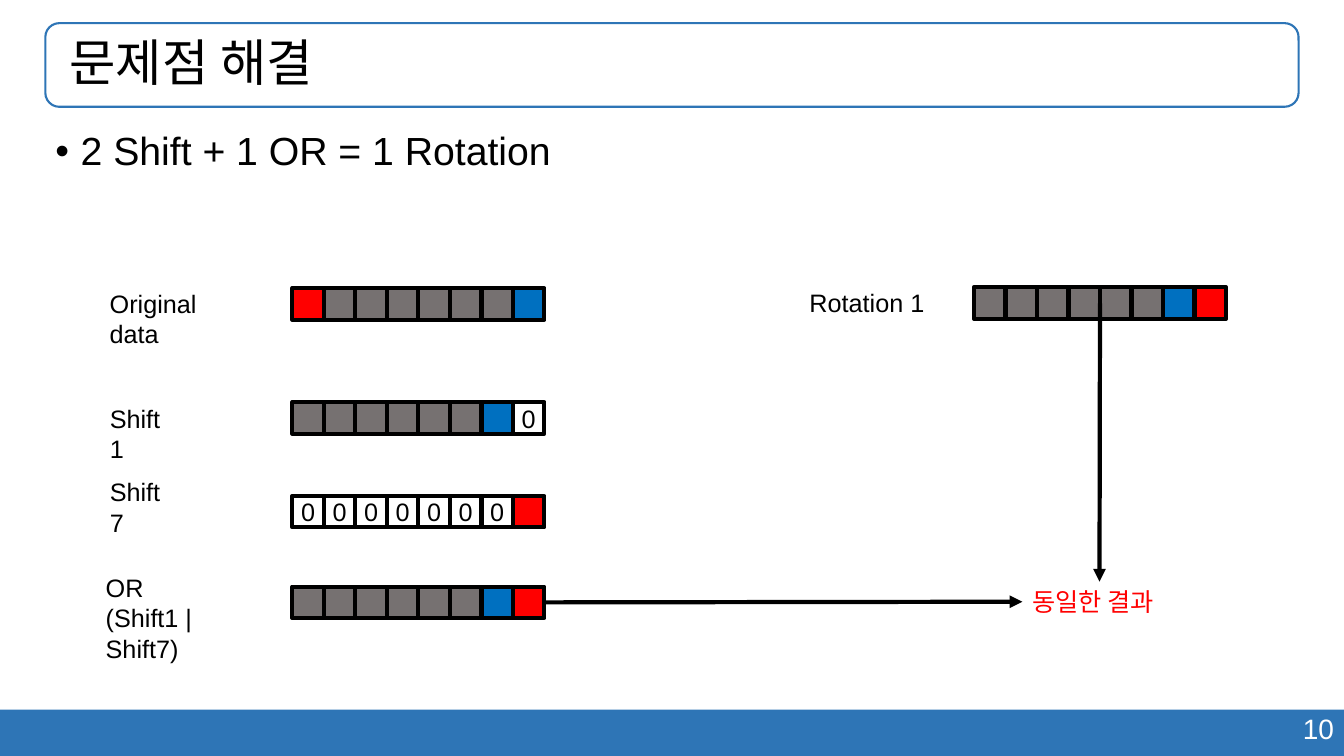
"""Build a slide that shows a bit rotation made of two shifts and an OR."""
from dataclasses import dataclass

from lxml import etree
from pptx import Presentation
from pptx.dml.color import RGBColor
from pptx.enum import shapes, text
from pptx.oxml import ns
from pptx.util import Inches, Pt


@dataclass(frozen=True)
class Theme:
    """Hold the colours, type sizes and line widths of the slide."""
    font: str = "Arial"
    black: str = "000000"
    white: str = "FFFFFF"
    bar: str = "2E75B6"
    red: str = "FF0000"
    gray: str = "767171"
    blue: str = "0070C0"
    title: int = 36
    body: int = 28
    page: int = 20
    label: int = 18
    frame: float = 1.5
    line: int = 3


THEME = Theme()
CELL = 2.5 / 8
BITS = {"R": THEME.red, "G": THEME.gray, "B": THEME.blue}
LEFT = 2.9
ROWS = [
    ("Original data", 0.99, 2.81, 1.53, LEFT, 2.86, "RGGGGGGB"),
    ("Shift 1", 0.99, 3.95, 0.88, LEFT, 3.99, "GGGGGGB0"),
    ("Shift 7", 0.99, 4.68, 0.88, LEFT, 4.92, "0000000R"),
    ("Rotation 1", 7.93, 2.8, 1.38, 9.66, 2.85, "GGGGGGBR"),
    ("OR\n(Shift1 | Shift7)", 0.95, 5.63, 1.78, LEFT, 5.82, "GGGGGGBR"),
]


def color(code):
    """Turn a hex code into a colour."""
    return RGBColor.from_string(code)


def style(frame, size, ink, align=text.PP_ALIGN.LEFT):
    """Format every paragraph and run of a text frame."""
    frame.word_wrap = True
    frame.auto_size = text.MSO_AUTO_SIZE.NONE
    for para in frame.paragraphs:
        para.alignment = align
        for run in para.runs:
            run.font.name = THEME.font
            run.font.size = Pt(size)
            run.font.color.rgb = color(ink)


def place(shape, left, top, width, height):
    """Move and size a shape, in inches."""
    shape.left, shape.top = Inches(left), Inches(top)
    shape.width, shape.height = Inches(width), Inches(height)


def box(parent, kind, area, fill=None, line=None, weight=0):
    """Add a preset shape with an optional fill and outline."""
    shape = parent.add_shape(kind, *map(Inches, area))
    shape.shadow.inherit = False
    if fill:
        shape.fill.solid()
        shape.fill.fore_color.rgb = color(fill)
    else:
        shape.fill.background()
    if line:
        shape.line.color.rgb = color(line)
        shape.line.width = Pt(weight)
    else:
        shape.line.fill.background()
    return shape


def label(slide, words, area, size=THEME.label, ink=THEME.black,
          align=text.PP_ALIGN.LEFT):
    """Add a text box."""
    shape = slide.shapes.add_textbox(*map(Inches, area))
    shape.text_frame.text = words
    style(shape.text_frame, size, ink, align)
    return shape


def strip(slide, left, top, bits):
    """Add a grouped row of bit cells and return its last cell."""
    group = slide.shapes.add_group_shape()
    for i, bit in enumerate(bits):
        cell = box(group.shapes, shapes.MSO_SHAPE.RECTANGLE,
                   (left + i * CELL, top, CELL, CELL),
                   BITS.get(bit), THEME.black, THEME.line)
        if bit not in BITS:
            frame = cell.text_frame
            frame.text = bit
            frame.margin_left = frame.margin_right = 0
            frame.vertical_anchor = text.MSO_ANCHOR.MIDDLE
            style(frame, THEME.label, THEME.black, text.PP_ALIGN.CENTER)
    return cell


def arrow(slide, start, end):
    """Add a straight arrow between two points."""
    line = slide.shapes.add_connector(
        shapes.MSO_CONNECTOR.STRAIGHT, *map(Inches, start + end))
    line.line.color.rgb = color(THEME.black)
    line.line.width = Pt(THEME.line)
    etree.SubElement(line.line._get_or_add_ln(), ns.qn("a:tailEnd"),
                     type="triangle")
    etree.SubElement(line._element.spPr, ns.qn("a:effectLst"))
    return line


def header(slide):
    """Fill the title and put a rounded frame around it."""
    area = (0.45, 0.23, 12.43, 0.83)
    box(slide.shapes, shapes.MSO_SHAPE.ROUNDED_RECTANGLE, area,
        line=THEME.bar, weight=THEME.frame)
    place(slide.shapes.title, *area)
    frame = slide.shapes.title.text_frame
    frame.text = "문제점 해결"
    frame.margin_left = Inches(0.24)
    frame.vertical_anchor = text.MSO_ANCHOR.MIDDLE
    frame.paragraphs[0].line_spacing = 0.9
    style(frame, THEME.title, THEME.black)


def bullet(slide, words):
    """Fill the body with one bulleted line."""
    body = slide.placeholders[1]
    place(body, 0.45, 1.26, 12.43, 5.53)
    body.text_frame.text = words
    para = body.text_frame.paragraphs[0]
    para.line_spacing = 0.9
    para.space_before = Pt(0)
    props = para._p.get_or_add_pPr()
    props.set("marL", str(Inches(0.25)))
    props.set("indent", str(Inches(-0.25)))
    etree.SubElement(props, ns.qn("a:buFont"), typeface=THEME.font)
    etree.SubElement(props, ns.qn("a:buChar"), char="•")
    style(body.text_frame, THEME.body, THEME.black)


def footer(slide):
    """Add the bottom bar and the page number."""
    box(slide.shapes, shapes.MSO_SHAPE.RECTANGLE, (0, 7.04, 13.33, 0.46),
        THEME.bar)
    label(slide, "10", (9.43, 7.01, 3.9, 0.44), THEME.page, THEME.white,
          text.PP_ALIGN.RIGHT)


def main():
    """Build the slide and save it."""
    deck = Presentation()
    deck.slide_width, deck.slide_height = Inches(13.33), Inches(7.5)
    slide = deck.slides.add_slide(deck.slide_layouts[1])
    footer(slide)
    header(slide)
    bullet(slide, "2 Shift + 1 OR = 1 Rotation")
    for words, x, y, width, left, top, bits in ROWS:
        height = 0.4 if "\n" not in words else 0.71
        label(slide, words, (x, y, width, height))
        last = strip(slide, left, top, bits)
    same = label(slide, "동일한 결과", (10.14, 5.77, 1.53, 0.4), ink=THEME.red)
    across = arrow(slide, (5.4, 5.98), (10.14, 5.97))
    across.begin_connect(last, 3)
    across.end_connect(same, 1)
    down = arrow(slide, (10.91, 3.01), (10.91, 5.77))
    down.end_connect(same, 0)
    deck.save("out.pptx")


if __name__ == "__main__":
    main()
